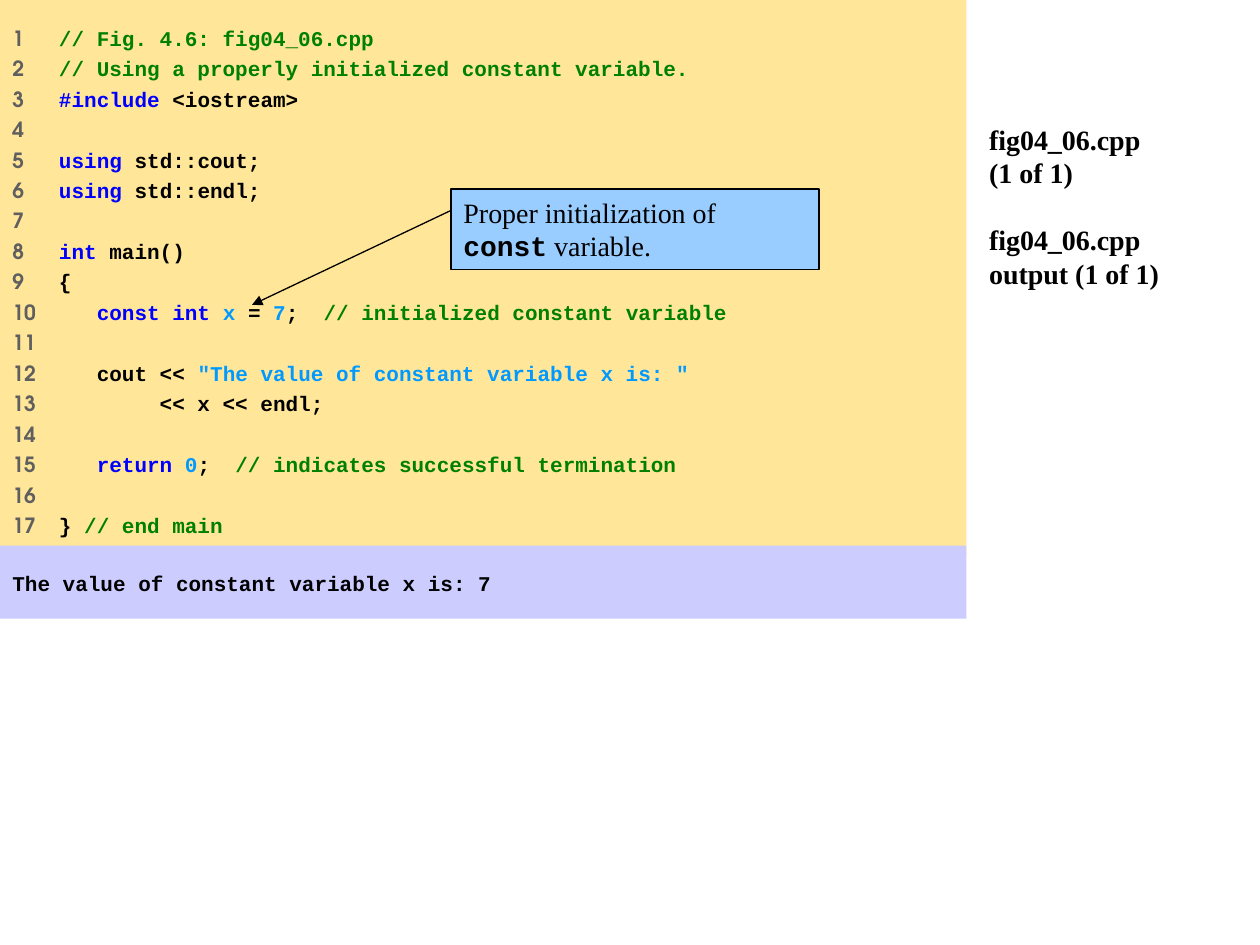
from lxml.etree import SubElement
from pptx import Presentation
from pptx.dml.color import RGBColor
from pptx.enum.shapes import MSO_CONNECTOR, MSO_SHAPE
from pptx.enum.text import MSO_ANCHOR, MSO_AUTO_SIZE, PP_ALIGN
from pptx.oxml.ns import qn
from pptx.util import Inches, Pt

SERIF, MONO, NUMBERS = "Times New Roman", "Courier New", "TeX Gyre Adventor"
BLACK, GREY, GREEN, BLUE, SKY = "000000", "5F5F5F", "008000", "0000FF", "0099FF"
CODE_TAB = 0.37

TITLE = ["fig04_06.cpp\v(1 of 1)", "fig04_06.cpp\voutput (1 of 1)"]
CODE = [
    [("// Fig. 4.6: fig04_06.cpp", GREEN)],
    [("// Using a properly initialized constant variable.", GREEN)],
    [("#include", BLUE), (" <iostream>", BLACK)],
    [],
    [("using", BLUE), (" std::cout;", BLACK)],
    [("using", BLUE), (" std::endl;", BLACK)],
    [],
    [("int", BLUE), (" main()", BLACK)],
    [("{", BLACK)],
    [("   const int ", BLUE), ("x", SKY), (" = ", BLACK), ("7", SKY),
     (";  ", BLACK), ("// initialized constant variable", GREEN)],
    [],
    [("   cout << ", BLACK), ('"The value of constant variable x is: "', SKY)],
    [("        << x << endl;", BLACK)],
    [],
    [("   return ", BLUE), ("0", SKY), (";  ", BLACK),
     ("// indicates successful termination", GREEN)],
    [],
    [("} ", BLACK), ("// end main", GREEN)],
]
OUTPUT = "The value of constant variable x is: 7"
CALLOUT = [("Proper initialization of ", SERIF, False), ("const", MONO, True),
           (" variable.", SERIF, False)]


def rgb(color):
    return RGBColor.from_string(color)


def style(run, font, size, color=BLACK, bold=True):
    run.font.name, run.font.size, run.font.bold = font, Pt(size), bold
    run.font.color.rgb = rgb(color)


def add_run(paragraph, text, *look):
    run = paragraph.add_run()
    run.text = text
    style(run, *look)


def add_panel(shapes, box, fill, margin_y, line=None):
    """Add a filled rectangle holding left-aligned text that starts at its top."""
    panel = shapes.add_shape(MSO_SHAPE.RECTANGLE, *map(Inches, box))
    panel.shadow.inherit = False
    panel.fill.solid()
    panel.fill.fore_color.rgb = rgb(fill)
    if line:
        panel.line.color.rgb = rgb(line)
        panel.line.width = Pt(0.75)
    else:
        panel.line.fill.background()
    frame = panel.text_frame
    frame.word_wrap = True
    frame.vertical_anchor = MSO_ANCHOR.TOP
    frame.margin_top = frame.margin_bottom = Inches(margin_y)
    frame.paragraphs[0].alignment = PP_ALIGN.LEFT
    return frame


def add_title(slide):
    title = slide.shapes.title
    title.left, title.top, title.width, title.height = map(
        Inches, (7.75, 0.92, 2.25, 5.25))
    frame = title.text_frame
    frame.word_wrap = True
    frame.auto_size = MSO_AUTO_SIZE.NONE
    frame.vertical_anchor = MSO_ANCHOR.TOP
    frame.text = "\n".join(TITLE)
    for index, paragraph in enumerate(frame.paragraphs):
        paragraph.alignment = PP_ALIGN.LEFT
        paragraph.space_before = Pt(19 if index else 0)
        for run in paragraph.runs:
            style(run, SERIF, 16)


def add_code(slide):
    listing = add_panel(slide.shapes, (0, 0, 7.67, 4.42), "FFE699", 0.2)
    for number, tokens in enumerate(CODE, 1):
        line = listing.paragraphs[0] if number == 1 else listing.add_paragraph()
        line.alignment = PP_ALIGN.LEFT
        line.space_before = Pt(3 if number > 1 else 0)
        tabs = SubElement(line._p.get_or_add_pPr(), qn("a:tabLst"))
        SubElement(tabs, qn("a:tab"), pos=str(Inches(CODE_TAB)), algn="l")
        add_run(line, f"{number}\t" if tokens else str(number), NUMBERS, 12, GREY)
        for text, color in tokens:
            add_run(line, text, MONO, 12, color)


def add_callout(slide):
    group = slide.shapes.add_group_shape()
    note = add_panel(group.shapes, (3.58, 1.5, 2.92, 0.64), "99CCFF", 0.05, BLACK)
    note.margin_right = Inches(0.15)
    note.auto_size = MSO_AUTO_SIZE.SHAPE_TO_FIT_TEXT
    for text, font, bold in CALLOUT:
        add_run(note.paragraphs[0], text, font, 16, BLACK, bold)
    arrow = group.shapes.add_connector(
        MSO_CONNECTOR.STRAIGHT, *map(Inches, (3.58, 1.67, 2, 2.42)))
    arrow.line.color.rgb = rgb(BLACK)
    arrow.line.width = Pt(0.75)
    SubElement(arrow.line._get_or_add_ln(), qn("a:tailEnd"), type="triangle")
    SubElement(arrow._element.spPr, qn("a:effectLst"))


def main():
    deck = Presentation()
    deck.slide_width, deck.slide_height = Inches(10), Inches(7.5)
    slide = deck.slides.add_slide(deck.slide_layouts[5])
    add_title(slide)
    add_code(slide)
    output = add_panel(slide.shapes, (0, 4.33, 7.67, 0.58), "CCCCFF", 0.2)
    add_run(output.paragraphs[0], OUTPUT, MONO, 12)
    add_callout(slide)
    deck.save("out.pptx")


if __name__ == "__main__":
    main()
